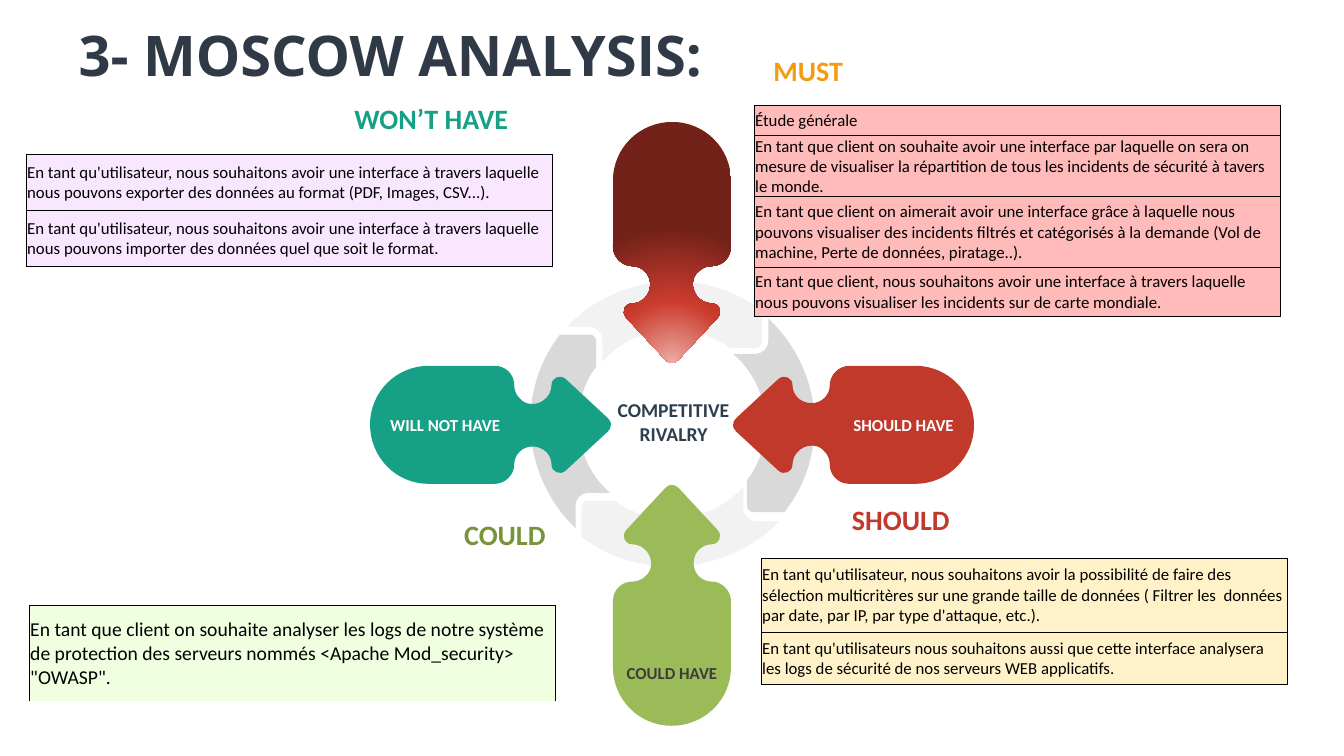
from lxml import etree
from pptx import Presentation
from pptx import util as u
from pptx.dml.color import RGBColor
from pptx.enum import text
from pptx.oxml import parse_xml
from pptx.oxml.ns import qn

NAVY = RGBColor(0x2F, 0x3A, 0x46)
SLATE = RGBColor(0x2C, 0x3E, 0x50)
TEAL = RGBColor(0x16, 0xA0, 0x85)
RED = RGBColor(0xC0, 0x39, 0x2B)
GREEN = RGBColor(0x9B, 0xBB, 0x59)
OLIVE = RGBColor(0x77, 0x93, 0x3C)
AMBER = RGBColor(0xF3, 0x9C, 0x12)
WHITE = RGBColor(0xFF, 0xFF, 0xFF)
BLACK = RGBColor(0, 0, 0)
COAL = RGBColor(0x3C, 0x3C, 0x3C)
MIST = RGBColor(0xF2, 0xF2, 0xF2)
GREY = RGBColor(0xD9, 0xD9, 0xD9)
PINK = RGBColor(0xFF, 0xBA, 0xBA)
CREAM = RGBColor(0xFF, 0xF2, 0xC9)
LILAC = RGBColor(0xF9, 0xE6, 0xFF)
MINT = RGBColor(0xF0, 0xFF, 0xE0)
SHADES = ((0, "EBACA5"), (46, "CB3C2E"), (100, "73221A"))

LEFT, MID, RIGHT = text.PP_ALIGN.LEFT, text.PP_ALIGN.CENTER, text.PP_ALIGN.RIGHT
TOP, HALF, BASE = text.MSO_ANCHOR.TOP, text.MSO_ANCHOR.MIDDLE, text.MSO_ANCHOR.BOTTOM

PIN_SIZE = (2.39, 1.17)
PIN = [
    (0.03, 0.65), (0.45, 1.04), (0.51, 1.09, 0.59, 1.05, 0.59, 0.98),
    (0.59, 0.86, 0.71, 0.76, 0.84, 0.8), (0.91, 0.83, 0.96, 0.9, 0.96, 0.98),
    (0.96, 1.09, 1.05, 1.17, 1.15, 1.17), (1.81, 1.17),
    (2.13, 1.17, 2.39, 0.91, 2.39, 0.59), (2.39, 0.26, 2.13, 0, 1.81, 0),
    (1.15, 0), (1.05, 0, 0.96, 0.09, 0.96, 0.19),
    (0.96, 0.29, 0.88, 0.37, 0.78, 0.37), (0.67, 0.37, 0.59, 0.29, 0.59, 0.19),
    (0.59, 0.12, 0.51, 0.08, 0.45, 0.13), (0.03, 0.52),
    (0.01, 0.54, 0, 0.56, 0, 0.59), (0, 0.61, 0.01, 0.63, 0.03, 0.65),
]
ARC_SIZE = (0.81, 1.92)
ARC = [
    (0.35, 0.23), (0.35, 0.29, 0.29, 0.35, 0.23, 0.35), (0, 0.35),
    (0.2, 0.52, 0.32, 0.77, 0.32, 1.05), (0.32, 1.26, 0.26, 1.45, 0.14, 1.6),
    (0.14, 1.86), (0.14, 1.89, 0.17, 1.92, 0.2, 1.92), (0.51, 1.92),
    (0.7, 1.68, 0.81, 1.38, 0.81, 1.05), (0.81, 0.64, 0.63, 0.26, 0.35, 0),
]


def outline(slide, box, steps, size, turns, color):
    left, top, width, height = box

    def place(x, y):
        x, y = x / size[0], y / size[1]
        for _ in range(turns):
            x, y = 1 - y, x
        return u.Inches(left + x * width), u.Inches(top + y * height)

    spots = [[place(*step[i:i + 2]) for i in range(0, len(step), 2)] for step in steps]
    pen = slide.shapes.build_freeform(*spots[0][0])
    pen.add_line_segments([spot[-1] for spot in spots[1:]], close=True)
    shape = pen.convert_to_shape()
    for line, spot in zip(list(shape._element.iter(qn("a:lnTo"))), spots[1:]):
        if len(spot) == 3:
            line.tag = qn("a:cubicBezTo")
            for i, (x, y) in enumerate(spot[:2]):
                dot = etree.Element(qn("a:pt"), x=str(x - shape.left), y=str(y - shape.top))
                line.insert(i, dot)
    shape.shadow.inherit = False
    shape.line.fill.background()
    shape.fill.solid()
    shape.fill.fore_color.rgb = color
    return shape


def glow(shape):
    stops = "".join(
        f'<a:gs pos="{at * 1000}"><a:srgbClr val="{tone}"/></a:gs>' for at, tone in SHADES)
    fill = parse_xml(
        '<a:gradFill xmlns:a="http://schemas.openxmlformats.org/drawingml/2006/main" '
        f'rotWithShape="1"><a:gsLst>{stops}</a:gsLst><a:path path="circle">'
        '<a:fillToRect l="50000" t="130000" r="50000" b="-30000"/></a:path></a:gradFill>')
    old = shape._element.spPr.find(qn("a:solidFill"))
    old.getparent().replace(old, fill)


def write(frame, words, size, color, align=LEFT, anchor=HALF,
          pads=(0.1, 0.05, 0.1, 0.05), face="Calibri", wrap=True):
    frame.text = words
    frame.word_wrap = wrap
    frame.vertical_anchor = anchor
    frame.margin_left, frame.margin_top, frame.margin_right, frame.margin_bottom = map(u.Inches, pads)
    para = frame.paragraphs[0]
    para.alignment = align
    para.font.name, para.font.size, para.font.bold = face, u.Pt(size), True
    para.font.color.rgb = color


def label(slide, box, words, size, color, **style):
    area = slide.shapes.add_textbox(*map(u.Inches, box))
    write(area.text_frame, words, size, color, **style)
    area.text_frame.auto_size = text.MSO_AUTO_SIZE.SHAPE_TO_FIT_TEXT


def wheel(slide, box):
    left, top = box[:2]
    arcs = (
        (0, GREY, (3.6, 1.95, 0.81, 1.92)),
        (3, MIST, (1.95, 1.58, 1.94, 0.8)),
        (2, GREY, (1.59, 2.11, 0.79, 1.92)),
        (1, MIST, (2.1, 3.62, 1.96, 0.79)),
    )
    for turn, color, (x, y, width, height) in arcs:
        outline(slide, (left + x, top + y, width, height), ARC, ARC_SIZE, turn, color)
    pins = (
        (2, TEAL, (0, 2.42, 2.39, 1.17), "WILL NOT HAVE", WHITE, LEFT, HALF, (0.2, 0.04, 0.79, 0.04)),
        (0, RED, (3.6, 2.42, 2.39, 1.17), "SHOULD HAVE", WHITE, RIGHT, HALF, (0.79, 0.04, 0.2, 0.04)),
        (1, GREEN, (2.41, 3.6, 1.17, 2.39), "COULD HAVE", COAL, MID, BASE, (0.04, 0.04, 0.04, 0.43)),
        (3, RED, (2.41, 0, 1.17, 2.39), "", COAL, MID, TOP, (0.04, 0.43, 0.04, 0.04)),
    )
    for turn, color, (x, y, width, height), words, ink, align, anchor, pads in pins:
        shape = outline(slide, (left + x, top + y, width, height), PIN, PIN_SIZE, turn, color)
        if words:
            write(shape.text_frame, words, 12, ink, align, anchor, pads)
        else:
            glow(shape)
    label(slide, (left + 2.35, top + 2.69, 1.32, 0.57), "COMPETITIVE\vRIVALRY",
          14, SLATE, align=MID, anchor=TOP, wrap=False)


def edge(cell, sides):
    props = cell._tc.get_or_add_tcPr()
    for side in "LRTB":
        line = etree.SubElement(props, qn("a:ln" + side), w="6350")
        if side in sides:
            fill = etree.SubElement(line, qn("a:solidFill"))
            etree.SubElement(fill, qn("a:srgbClr"), val=str(BLACK))
        else:
            etree.SubElement(line, qn("a:noFill"))


def grid(slide, box, rows, color, size=12, sides="LRTB"):
    left, top, width = box
    high = sum(height for height, _ in rows)
    table = slide.shapes.add_table(len(rows), 1, *map(u.Inches, (left, top, width, high))).table
    table.first_row = table.horz_banding = False
    for i, (height, words) in enumerate(rows):
        table.rows[i].height = u.Inches(height)
        cell = table.cell(i, 0)
        edge(cell, sides)
        cell.fill.solid()
        cell.fill.fore_color.rgb = color
        cell.vertical_anchor = HALF
        cell.margin_left = cell.margin_top = cell.margin_right = u.Inches(0.01)
        cell.margin_bottom = 0
        cell.text = words
        font = cell.text_frame.paragraphs[0].font
        font.name, font.size, font.color.rgb = "Calibri", u.Pt(size), BLACK


def head(slide, box):
    title = slide.shapes.title
    title.left, title.top, title.width, title.height = map(u.Inches, box)
    write(title.text_frame, "3- MOSCOW ANALYSIS:\u00a0".strip(), 40, NAVY, face="Open Sans")


def main():
    deck = Presentation()
    deck.slide_width, deck.slide_height = u.Inches(13.33), u.Inches(7.5)
    slide = deck.slides.add_slide(deck.slide_layouts[5])
    head(slide, (0.68, 0.15, 10.72, 0.77))
    wheel(slide, (3.67, 1.21, 5.99, 5.99))
    for left, top, words, color, align in (
        (7.67, 0.47, "MUST", AMBER, LEFT),
        (8.45, 4.93, "SHOULD", RED, LEFT),
        (1.68, 0.95, "WON’T HAVE", TEAL, RIGHT),
        (2.05, 5.08, "COULD", OLIVE, RIGHT),
    ):
        label(slide, (left, top, 3.46, 0.44), words, 20, color, align=align,
              anchor=BASE, pads=(0, 0.05, 0.1, 0.05))
    grid(slide, (7.48, 1.04, 5.22), (
        (0.3, "Étude générale"),
        (0.52, "En tant que client on souhaite avoir une interface par laquelle on sera on mesure de visualiser la répartition de tous les incidents de sécurité à tavers le monde."),
        (0.7, "En tant que client on aimerait avoir une interface grâce à laquelle nous pouvons visualiser des incidents filtrés et catégorisés à la demande (Vol de machine, Perte de données, piratage..)."),
        (0.49, "En tant que client, nous souhaitons avoir une interface à travers laquelle nous pouvons visualiser les incidents sur de carte mondiale."),
    ), PINK)
    grid(slide, (7.55, 5.54, 5.22), (
        (0.73, "En tant qu'utilisateur, nous souhaitons avoir la possibilité de faire des sélection multicritères sur une grande taille de données ( Filtrer les  données par date, par IP, par type d'attaque, etc.)."),
        (0.52, "En tant qu'utilisateurs nous souhaitons aussi que cette interface analysera \vles logs de sécurité de nos serveurs WEB applicatifs."),
    ), CREAM)
    grid(slide, (0.26, 1.53, 5.22), (
        (0.56, "En tant qu'utilisateur, nous souhaitons avoir une interface à travers laquelle nous pouvons exporter des données au format (PDF, Images, CSV...)."),
        (0.55, "En tant qu'utilisateur, nous souhaitons avoir une interface à travers laquelle nous pouvons importer des données quel que soit le format."),
    ), LILAC)
    grid(slide, (0.29, 6.01, 5.22), (
        (0.94, "En tant que client on souhaite analyser les logs de notre système de protection des serveurs nommés <Apache Mod_security> \"OWASP\"."),
    ), MINT, 14, "LRT")
    deck.save("out.pptx")


if __name__ == "__main__":
    main()
